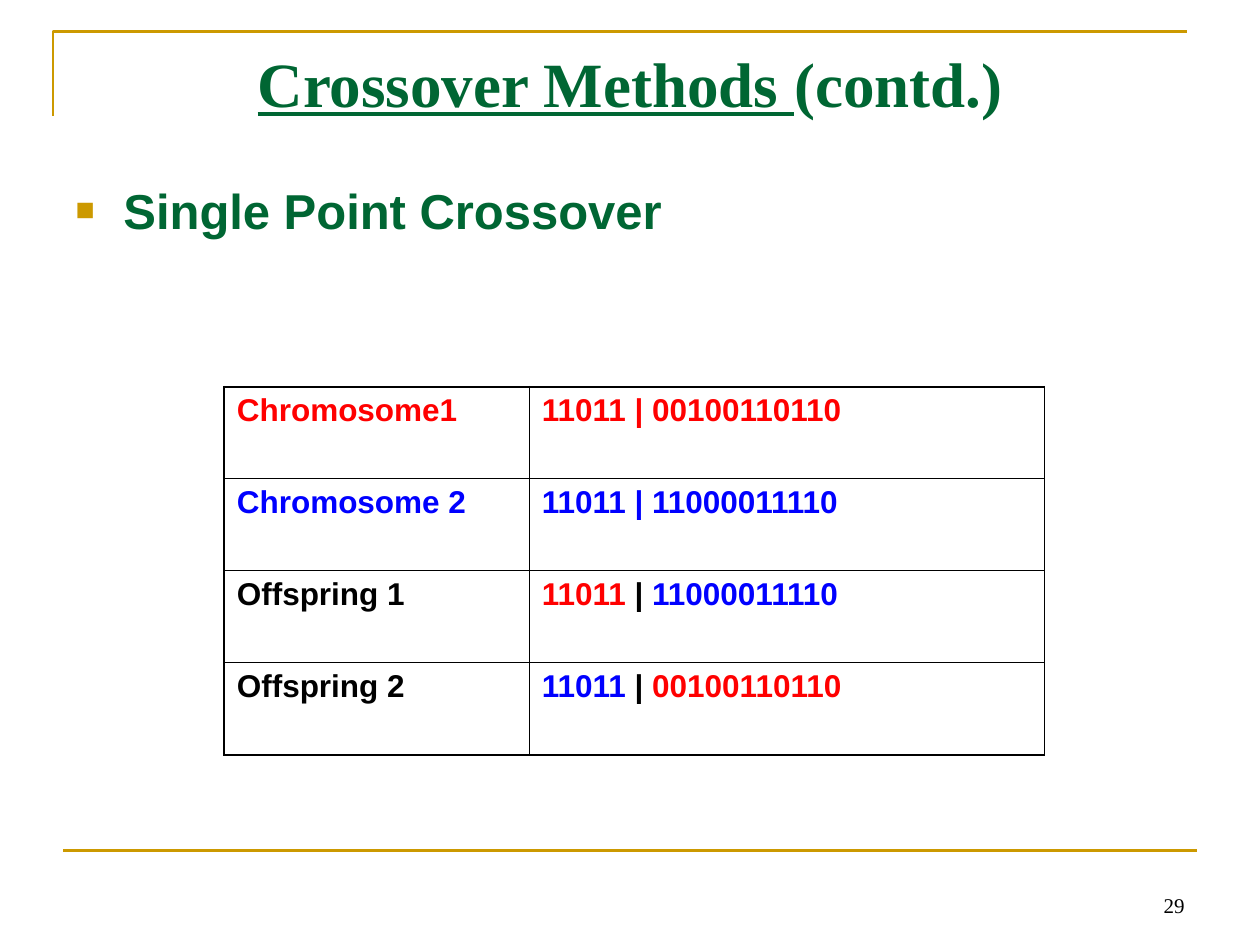
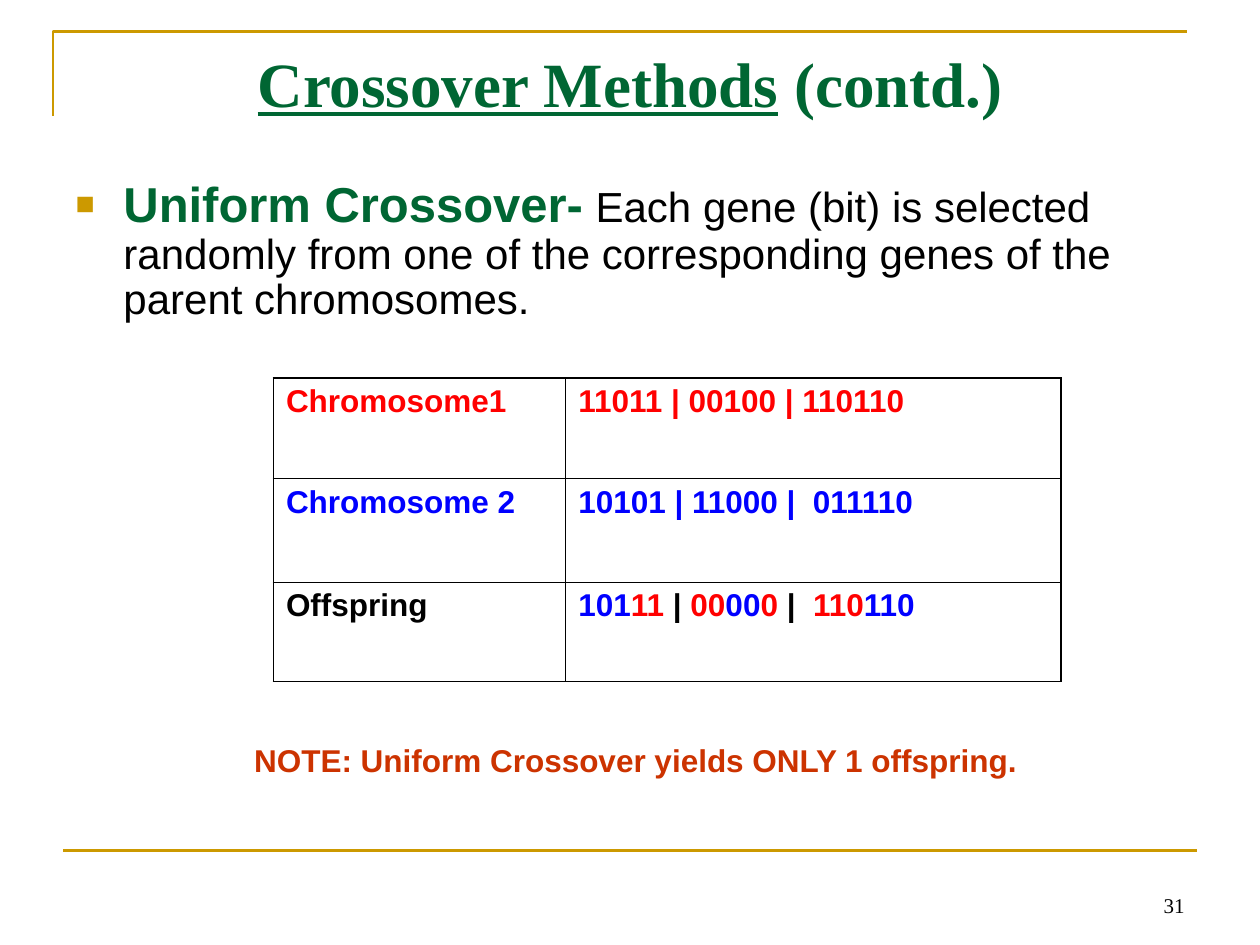
"""Builds two slides on crossover methods in genetic algorithms."""
from lxml.etree import SubElement
from pptx import Presentation
from pptx.dml.color import RGBColor
from pptx.enum.shapes import MSO_CONNECTOR
from pptx.enum.text import MSO_ANCHOR, MSO_AUTO_SIZE, PP_ALIGN
from pptx.oxml import parse_xml
from pptx.oxml.ns import nsdecls, qn
from pptx.util import Inches, Pt

COLORS = {
    "gold": "CC9900",
    "green": "006633",
    "red": "FF0000",
    "blue": "0000FF",
    "black": "000000",
    "rust": "CC3300",
}
SERIF = "Times New Roman"
SANS = "Arial"
OUTER_BORDER = 1.08
INNER_BORDER = 0.45

SLIDES = [
    {
        "number": "29",
        "title": [("Crossover Methods ", True), ("(contd.)", False)],
        "body_box": (0.5, 1.33, 9, 5.37),
        "line_spacing": 1.0,
        "body": [("Single Point Crossover", 28, "green", True)],
        "table_at": (1.78, 3.07),
        "columns": [2.42, 4.09],
        "heights": [0.73] * 4,
        "rows": [
            ("Chromosome1", "red", [("11011 | 00100110110", "red")]),
            ("Chromosome 2", "blue", [("11011 | 11000011110", "blue")]),
            ("Offspring 1", "black",
             [("11011 ", "red"), ("| ", "black"), ("11000011110", "blue")]),
            ("Offspring 2", "black",
             [("11011 ", "blue"), ("| ", "black"), ("00100110110", "red")]),
        ],
        "note": None,
    },
    {
        "number": "31",
        "title": [("Crossover Methods", True), (" (contd.)", False)],
        "body_box": (0.5, 1.33, 9.08, 1.33),
        "line_spacing": 0.9,
        "body": [
            ("Uniform Crossover-", 28, "green", True),
            (" ", 26, "black", False),
            ("Each gene (bit) is selected randomly from one of the "
             "corresponding genes of the parent chromosomes.", 24, "black", False),
        ],
        "table_at": (2.17, 3),
        "columns": [2.32, 3.93],
        "heights": [0.8, 0.82, 0.79],
        "rows": [
            ("Chromosome1", "red", [("11011 | 00100 | 110110", "red")]),
            ("Chromosome 2", "blue",
             [("10101 | 11000 | ", "blue"), (" 011110", "blue")]),
            ("Offspring", "black",
             [("101", "blue"), ("11", "red"), (" | ", "black"), ("00", "red"),
              ("00", "blue"), ("0 ", "red"), ("| ", "black"), (" 110", "red"),
              ("110", "blue")]),
        ],
        "note": "NOTE: Uniform Crossover yields ONLY 1 offspring.",
    },
]


def add_span(para, text, font, size, color, bold=True, underline=False):
    span = para.add_run()
    span.text = text
    span.font.name = font
    span.font.size = Pt(size)
    span.font.bold = bold
    span.font.underline = underline
    span.font.color.rgb = RGBColor.from_string(COLORS[color])


def place(shape, left, top, width, height):
    shape.left, shape.top = Inches(left), Inches(top)
    shape.width, shape.height = Inches(width), Inches(height)


deck = Presentation()
deck.slide_width = Inches(10)
deck.slide_height = Inches(7.5)

for content in SLIDES:
    page = deck.slides.add_slide(deck.slide_layouts[1])

    builder = page.shapes.build_freeform(Inches(0.42), Inches(0.92))
    builder.add_line_segments(
        [(Inches(0.42), Inches(0.25)), (Inches(9.42), Inches(0.25))], close=False)
    corner = builder.convert_to_shape()
    corner.fill.background()
    corner.shadow.inherit = False
    rule = page.shapes.add_connector(
        MSO_CONNECTOR.STRAIGHT, Inches(0.5), Inches(6.75), Inches(9.5), Inches(6.75))
    SubElement(rule.line._get_or_add_ln().getparent(), qn("a:effectLst"))
    for stroke in (corner, rule):
        stroke.line.color.rgb = RGBColor.from_string(COLORS["gold"])
        stroke.line.width = Pt(1.5)

    number_box = page.shapes.add_textbox(
        Inches(7.17), Inches(6.83), Inches(2.33), Inches(0.5))
    number_box.text_frame.word_wrap = True
    number_box.text_frame.vertical_anchor = MSO_ANCHOR.BOTTOM
    para = number_box.text_frame.paragraphs[0]
    para.alignment = PP_ALIGN.RIGHT
    add_span(para, content["number"], SERIF, 12, "black", bold=False)

    title = page.shapes.title
    place(title, 0.5, 0.3, 9, 0.7)
    title.text_frame.auto_size = MSO_AUTO_SIZE.NONE
    title.text_frame.vertical_anchor = MSO_ANCHOR.BOTTOM
    para = title.text_frame.paragraphs[0]
    para.alignment = PP_ALIGN.CENTER
    for text, underline in content["title"]:
        add_span(para, text, SERIF, 36, "green", underline=underline)

    body = page.placeholders[1]
    place(body, *content["body_box"])
    body.text_frame.auto_size = MSO_AUTO_SIZE.NONE
    body.text_frame.margin_top = Inches(0.1)
    para = body.text_frame.paragraphs[0]
    para.space_before = Pt(0)
    para.line_spacing = content["line_spacing"]
    properties = para._p.get_or_add_pPr()
    properties.set("marL", str(Inches(0.38)))
    properties.set("indent", str(-Inches(0.38)))
    bullet_color = SubElement(properties, qn("a:buClr"))
    SubElement(bullet_color, qn("a:srgbClr"), val=COLORS["gold"])
    SubElement(properties, qn("a:buSzPct"), val="65000")
    SubElement(properties, qn("a:buFont"), typeface=SANS)
    SubElement(properties, qn("a:buChar"), char="■")
    for text, size, color, bold in content["body"]:
        add_span(para, text, SANS, size, color, bold)

    rows, columns, heights = content["rows"], content["columns"], content["heights"]
    left, top = content["table_at"]
    table = page.shapes.add_table(
        len(rows), len(columns), Inches(left), Inches(top),
        Inches(sum(columns)), Inches(sum(heights))).table
    table.first_row = False
    table.horz_banding = False
    for column, width in zip(table.columns, columns):
        column.width = Inches(width)
    for row, height in zip(table.rows, heights):
        row.height = Inches(height)
    for r, (label, label_color, genes) in enumerate(rows):
        for c, spans in enumerate([[(label, label_color)], genes]):
            cell = table.cell(r, c)
            para = cell.text_frame.paragraphs[0]
            for text, color in spans:
                add_span(para, text, SANS, 18, color)
            cell.fill.background()
            edges = {
                "lnL": c == 0,
                "lnR": c == len(columns) - 1,
                "lnT": r == 0,
                "lnB": r == len(rows) - 1,
            }
            for position, (edge, is_outer) in enumerate(edges.items()):
                width = Pt(OUTER_BORDER if is_outer else INNER_BORDER)
                border = parse_xml(
                    f'<a:{edge} {nsdecls("a")} w="{width}"><a:solidFill>'
                    f'<a:srgbClr val="{COLORS["black"]}"/></a:solidFill></a:{edge}>')
                cell._tc.get_or_add_tcPr().insert(position, border)

    if content["note"]:
        note_box = page.shapes.add_textbox(
            Inches(1.17), Inches(5.83), Inches(7.75), Inches(0.4))
        note_box.text_frame.word_wrap = True
        para = note_box.text_frame.paragraphs[0]
        para.alignment = PP_ALIGN.CENTER
        add_span(para, content["note"], SANS, 18, "rust")

deck.save("out.pptx")
